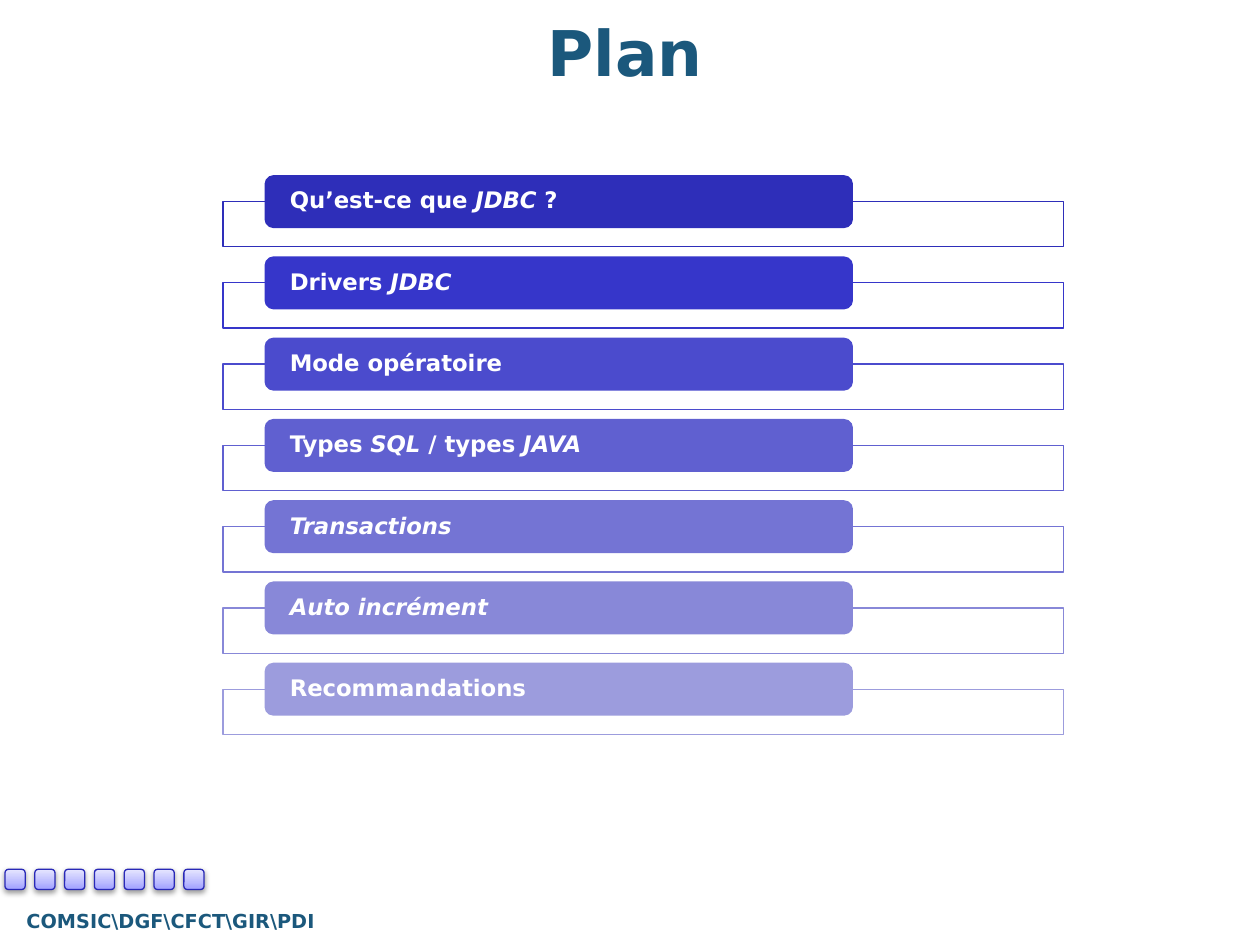
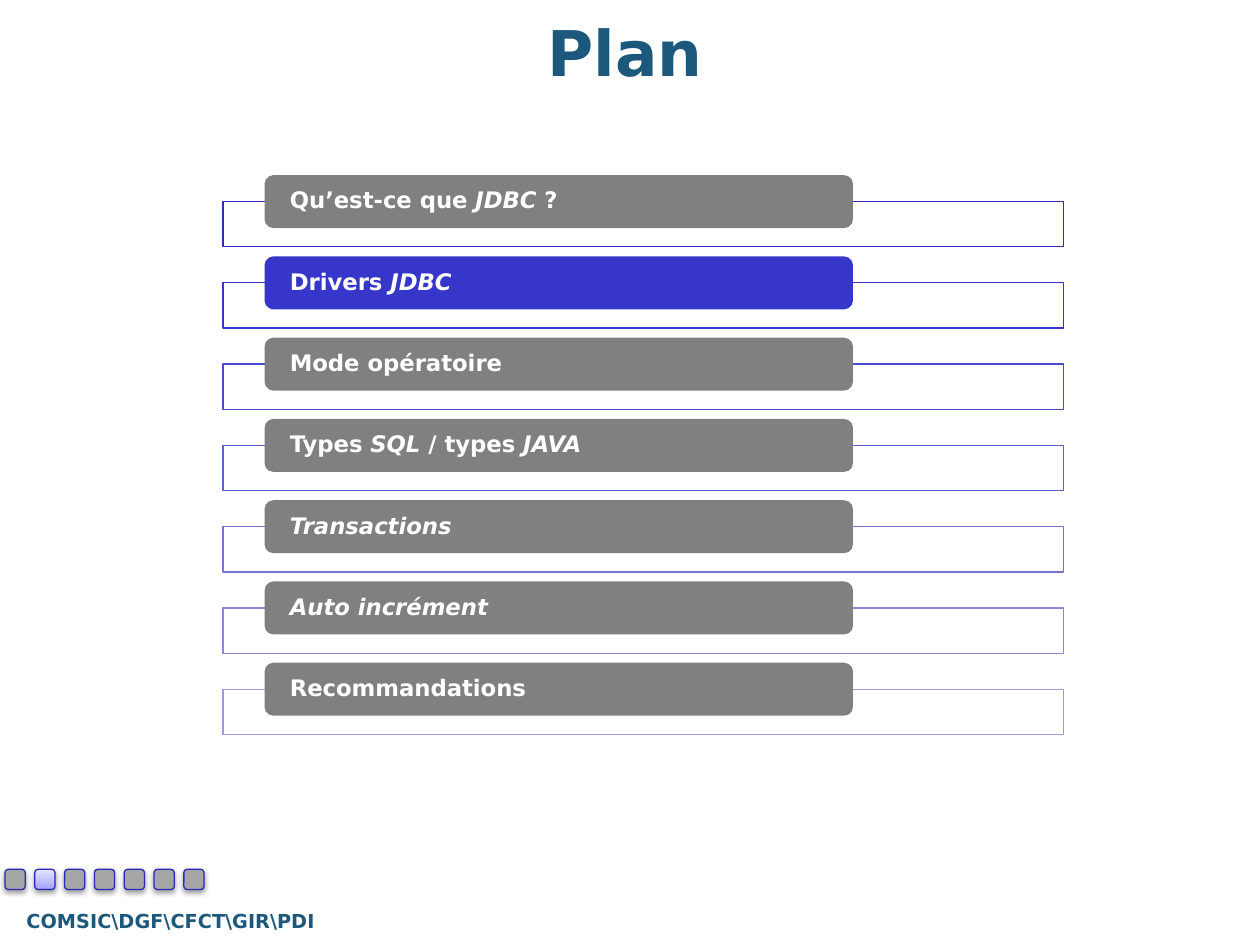
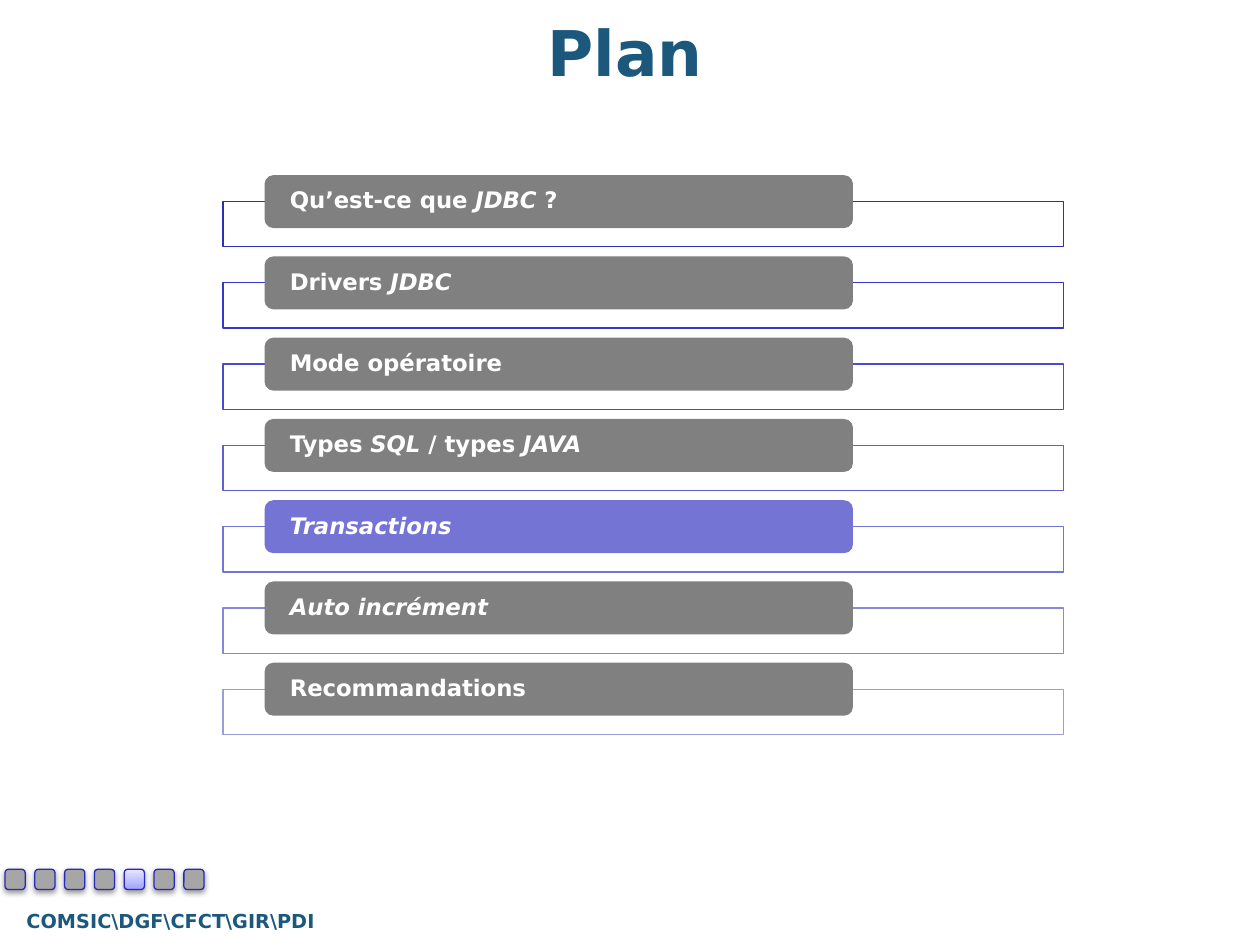
from dataclasses import dataclass

from lxml.etree import SubElement
from pptx import Presentation
from pptx.dml.color import RGBColor
from pptx.enum.shapes import MSO_SHAPE
from pptx.enum.text import MSO_ANCHOR, PP_ALIGN
from pptx.oxml.ns import qn
from pptx.util import Inches, Pt


@dataclass(frozen=True)
class Theme:
    font: str = "DejaVu Sans"
    heading: str = "1B587C"
    white: str = "FFFFFF"
    inactive_bar: str = "808080"
    inactive_chip: str = "A6A6A6"
    chip_line: str = "2929B8"
    chip_gradient: tuple = ((0, "9F9FFF"), (35, "BBBBFF"), (100, "E5E5FF"))
    shadow: str = "000000"
    title_size: int = 36
    bar_size: int = 13
    footer_size: int = 11
    line_width: float = 0.75


THEME = Theme()
FOOTER = "COMSIC\\DGF\\CFCT\\GIR\\PDI"

SECTIONS = [
    ("2E2EB9", [("Qu’est-ce que ", False), ("JDBC", True), (" ?", False)]),
    ("3636CA", [("Drivers ", False), ("JDBC", True)]),
    ("4B4BCD", [("Mode opératoire", False)]),
    ("6060D0", [("Types ", False), ("SQL", True), (" / types ", False), ("JAVA", True)]),
    ("7474D4", [("Transactions", True)]),
    ("8888D8", [("Auto incrément", True)]),
    ("9C9CDD", [("Recommandations", False)]),
]
ALL_SECTIONS = range(len(SECTIONS))
ACTIVE_SECTIONS = [ALL_SECTIONS, [1], [4]]
BAR_PITCH = (5.26 - 1.39) / (len(SECTIONS) - 1)
CHIP_PITCH = (1.46 - 0.04) / (len(SECTIONS) - 1)


def rgb(color):
    return RGBColor.from_string(color)


def style_text(paragraph, size, color, alignment):
    paragraph.alignment = alignment
    paragraph.font.name = THEME.font
    paragraph.font.size = Pt(size)
    paragraph.font.bold = True
    paragraph.font.color.rgb = rgb(color)


def add_opacity(color_element, percent):
    SubElement(color_element, qn("a:alpha"), val=str(percent * 1000))


def add_color(parent, color):
    return SubElement(parent, qn("a:srgbClr"), val=color)


def add_block(slide, kind, left, top, width, height, fill, line=None):
    shape = slide.shapes.add_shape(
        kind, Inches(left), Inches(top), Inches(width), Inches(height)
    )
    shape.shadow.inherit = False
    shape.fill.solid()
    shape.fill.fore_color.rgb = rgb(fill)
    if line:
        shape.line.color.rgb = rgb(line)
        shape.line.width = Pt(THEME.line_width)
    else:
        shape.line.fill.background()
    return shape


def add_title(slide, text):
    title = slide.shapes.title
    title.left, title.top = Inches(0.43), Inches(0.05)
    title.width, title.height = Inches(9.06), Inches(0.71)
    title.text_frame.vertical_anchor = MSO_ANCHOR.MIDDLE
    title.text_frame.text = text
    paragraph = title.text_frame.paragraphs[0]
    style_text(paragraph, THEME.title_size, THEME.heading, PP_ALIGN.CENTER)


def add_section(slide, index, active):
    color, runs = SECTIONS[index]
    top = 1.39 + index * BAR_PITCH
    frame = add_block(
        slide, MSO_SHAPE.RECTANGLE, 1.77, top + 0.21, 6.67, 0.36, THEME.white, color
    )
    add_opacity(frame.element.spPr.find(qn("a:solidFill")).find(qn("a:srgbClr")), 90)
    bar = add_block(
        slide, MSO_SHAPE.ROUNDED_RECTANGLE, 2.1, top, 4.67, 0.42,
        color if active else THEME.inactive_bar,
    )
    text_frame = bar.text_frame
    text_frame.vertical_anchor = MSO_ANCHOR.MIDDLE
    text_frame.margin_left = text_frame.margin_right = Inches(0.18)
    text_frame.margin_top = text_frame.margin_bottom = 0
    paragraph = text_frame.paragraphs[0]
    paragraph.line_spacing = 0.9
    style_text(paragraph, THEME.bar_size, THEME.white, PP_ALIGN.LEFT)
    for text, italic in runs:
        run = paragraph.add_run()
        run.text = text
        run.font.italic = italic


def apply_gradient(shape, stops):
    shape.fill.gradient()
    shape.fill.gradient_angle = 90
    stop_list = shape.element.spPr.find(qn("a:gradFill")).find(qn("a:gsLst"))
    for stop in list(stop_list):
        stop_list.remove(stop)
    for position, color in stops:
        add_color(SubElement(stop_list, qn("a:gs"), pos=str(position * 1000)), color)


def apply_shadow(shape):
    effects = shape.element.spPr.find(qn("a:effectLst"))
    shadow = SubElement(
        effects, qn("a:outerShdw"), blurRad=str(Pt(3.1)), dist=str(Pt(1.6)),
        dir="5400000", rotWithShape="0",
    )
    add_opacity(add_color(shadow, THEME.shadow), 38)


def add_progress_chip(slide, index, active):
    chip = add_block(
        slide, MSO_SHAPE.ROUNDED_RECTANGLE, 0.04 + index * CHIP_PITCH, 6.9, 0.16, 0.16,
        THEME.inactive_chip, THEME.chip_line,
    )
    if active:
        apply_gradient(chip, THEME.chip_gradient)
    apply_shadow(chip)


def add_footer(slide):
    footer = slide.shapes.add_textbox(
        Inches(0), Inches(7.16), Inches(2.71), Inches(0.29)
    )
    footer.text_frame.word_wrap = True
    footer.text_frame.vertical_anchor = MSO_ANCHOR.MIDDLE
    footer.text_frame.text = FOOTER
    paragraph = footer.text_frame.paragraphs[0]
    style_text(paragraph, THEME.footer_size, THEME.heading, PP_ALIGN.CENTER)


def add_plan_slide(presentation, active_sections):
    slide = presentation.slides.add_slide(presentation.slide_layouts[5])
    add_footer(slide)
    add_title(slide, "Plan")
    for index in ALL_SECTIONS:
        add_section(slide, index, index in active_sections)
    for index in ALL_SECTIONS:
        add_progress_chip(slide, index, index in active_sections)


def main():
    presentation = Presentation()
    presentation.slide_width = Inches(10)
    presentation.slide_height = Inches(7.5)
    for active_sections in ACTIVE_SECTIONS:
        add_plan_slide(presentation, active_sections)
    presentation.save("out.pptx")


if __name__ == "__main__":
    main()
